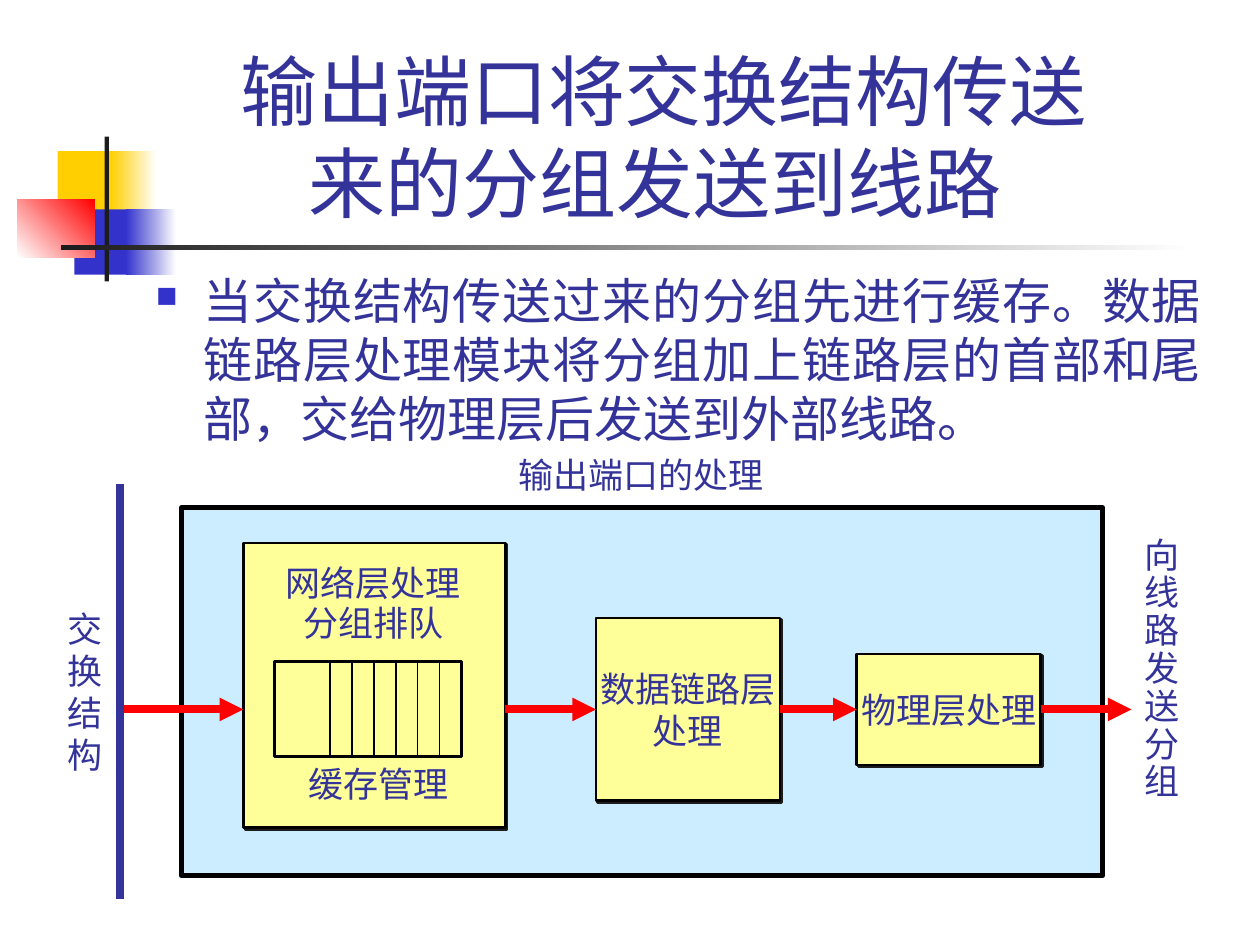
from dataclasses import dataclass
from typing import Any

from lxml import etree
from pptx import Presentation
from pptx.dml.color import RGBColor
from pptx.enum.lang import MSO_LANGUAGE_ID
from pptx.enum.shapes import MSO_CONNECTOR, MSO_SHAPE
from pptx.enum.text import MSO_ANCHOR, PP_ALIGN
from pptx.oxml import parse_xml
from pptx.oxml.ns import nsdecls, qn
from pptx.util import Pt

RECT = MSO_SHAPE.RECTANGLE
STRAIGHT = MSO_CONNECTOR.STRAIGHT
CENTER, JUSTIFY = PP_ALIGN.CENTER, PP_ALIGN.JUSTIFY
TOP, MIDDLE, BOTTOM = MSO_ANCHOR.TOP, MSO_ANCHOR.MIDDLE, MSO_ANCHOR.BOTTOM
CHINESE = MSO_LANGUAGE_ID.SIMPLIFIED_CHINESE
LEFT_SIDE, RIGHT_SIDE = 1, 3

COLORS = {
    "text": "333399", "blue": "3333CC", "yellow": "FFCF01", "red": "FF0000",
    "dark": "1C1C1C", "white": "FFFFFF", "black": "000000",
    "frame": "CCECFF", "module": "FFFF99",
}


def rgb(name):
    return RGBColor.from_string(COLORS[name])


def add_bullet(paragraph, indent):
    """Give the paragraph a small square bullet with a hanging indent."""
    props = paragraph._p.get_or_add_pPr()
    props.set("marL", str(Pt(indent)))
    props.set("indent", str(-Pt(indent)))
    for xml in (f'<a:buClr {nsdecls("a")}><a:srgbClr val="{COLORS["blue"]}"/></a:buClr>',
                f'<a:buSzPct {nsdecls("a")} val="60000"/>',
                f'<a:buChar {nsdecls("a")} char="■"/>'):
        props.append(parse_xml(xml))


def write_text(frame, text, size=20, align=CENTER, anchor=TOP, wrap=False,
               spacing=None, bullet_indent=None):
    """Fill a text frame; each line of text becomes a paragraph."""
    frame.word_wrap = wrap
    frame.vertical_anchor = anchor
    for i, line in enumerate(text.split("\n")):
        paragraph = frame.add_paragraph() if i else frame.paragraphs[0]
        if bullet_indent:
            add_bullet(paragraph, bullet_indent)
        paragraph.alignment = align
        if spacing:
            paragraph.line_spacing = spacing
        run = paragraph.add_run()
        run.text = line
        run.font.name = "Arial"
        run.font.size = Pt(size)
        run.font.language_id = CHINESE
        run.font.color.rgb = rgb("text")


@dataclass
class Painter:
    slide: Any
    line_color: str = "black"

    def box(self, left, top, width, height, fill=None, line=None, fade_to=None,
            angle=0, shadow=False):
        shape = self.slide.shapes.add_shape(
            RECT, Pt(left), Pt(top), Pt(width), Pt(height))
        shape.shadow.inherit = False
        if fade_to:
            shape.fill.gradient()
            shape.fill.gradient_angle = angle
            for stop, color in zip(shape.fill.gradient_stops, (fill, fade_to)):
                stop.color.rgb = rgb(color)
        elif fill:
            shape.fill.solid()
            shape.fill.fore_color.rgb = rgb(fill)
        else:
            shape.fill.background()
        if line:
            shape.line.color.rgb = rgb(self.line_color)
            shape.line.width = Pt(line)
        else:
            shape.line.fill.background()
        if shadow:
            shape._element.spPr.find(qn("a:effectLst")).append(parse_xml(
                f'<a:outerShdw {nsdecls("a")} dist="{Pt(1.4)}" dir="2700000">'
                f'<a:srgbClr val="{COLORS["dark"]}"/></a:outerShdw>'))
        return shape

    def module(self, left, top, width, height, text=None):
        shape = self.box(left, top, width, height, "module", 1.5, shadow=True)
        if text:
            write_text(shape.text_frame, text, anchor=MIDDLE)
        return shape

    def text(self, left, top, width, height, text, **style):
        label = self.slide.shapes.add_textbox(
            Pt(left), Pt(top), Pt(width), Pt(height))
        write_text(label.text_frame, text, **style)

    def line(self, x1, y1, x2, y2, color="black", width=0.75):
        connector = self.slide.shapes.add_connector(
            STRAIGHT, Pt(x1), Pt(y1), Pt(x2), Pt(y2))
        connector.line.color.rgb = rgb(color)
        connector.line.width = Pt(width)
        etree.SubElement(connector._element.spPr, qn("a:effectLst"))
        return connector

    def arrow(self, x1, x2, y, source=None, target=None):
        """Draw a red arrow, joined to the modules given at its ends."""
        connector = self.line(x1, y, x2, y, "red", 4.5)
        etree.SubElement(connector.line._get_or_add_ln(),
                         qn("a:tailEnd"), type="triangle")
        if source:
            connector.begin_connect(source, RIGHT_SIDE)
        if target:
            connector.end_connect(target, LEFT_SIDE)


def draw_decoration(painter):
    painter.box(33, 86.4, 34.6, 37.4, "yellow")
    painter.box(63.4, 86.4, 26, 37.4, "yellow", fade_to="white")
    painter.box(42.5, 119.6, 33, 37.4, "blue")
    painter.box(72, 119.6, 28.8, 37.4, "blue", fade_to="white")
    painter.box(10, 113.8, 44, 33.2, "white", fade_to="red", angle=45)
    painter.box(59.8, 78, 2.4, 82.8, "dark")
    painter.box(34.6, 140.2, 648, 2.4, "dark", fade_to="white")


def draw_output_port(painter):
    axis = 405.4
    bus_x = 68.4
    network_left, network_width = 139, 149.8
    module_width, link_height, physical_height = 105.1, 104.4, 63.4
    link_left, physical_left = 340.6, 489.6

    painter.box(103.7, 290.2, 526.3, 210.2, "frame", 3)
    physical = painter.module(physical_left, axis - physical_height / 2,
                              module_width, physical_height, "物理层处理")
    link = painter.module(link_left, axis - link_height / 2,
                          module_width, link_height, "数据链路层\n处理")
    painter.module(network_left, 310.3, network_width, 162.7)

    painter.arrow(physical_left + module_width, 646.6, axis, source=physical)
    painter.arrow(link_left + module_width, physical_left, axis, link, physical)
    painter.arrow(network_left + network_width, link_left, axis, target=link)
    painter.arrow(bus_x, network_left, axis)
    painter.line(bus_x, 276.5, bus_x, 514, "text", 4.5)

    queue_top, queue_height = 378, 54.4
    painter.box(157, queue_top, 106.6, queue_height, line=1.5)
    for slot in range(6):
        x = 188.6 + slot * 12.54
        painter.line(x, queue_top, x, queue_top + queue_height)

    painter.text(156, 319, 114.5, 53.3, "网络层处理\n分组排队", spacing=0.95)
    painter.text(284, 255.6, 165, 31.7, "输出端口的处理")
    painter.text(646.6, 303.8, 34.6, 158.4, "\n".join("向线路发送分组"), spacing=0.9)
    painter.text(169.2, 432, 94.3, 31.7, "缓存管理")
    painter.text(31, 343.4, 34.6, 103.7, "\n".join("交换结构"))


def main():
    deck = Presentation()
    deck.slide_width, deck.slide_height = Pt(720), Pt(540)
    painter = Painter(deck.slides.add_slide(deck.slide_layouts[6]))
    draw_decoration(painter)
    painter.text(109.4, 73.4, 540, 60.5, "输出端口将交换结构传送来的分组发送到线路 ",
                 size=44, anchor=BOTTOM, wrap=True)
    painter.text(82, 151.2, 612, 108.7,
                 "当交换结构传送过来的分组先进行缓存。数据链路层处理模块将分组加上"
                 "链路层的首部和尾部，交给物理层后发送到外部线路。",
                 size=28, align=JUSTIFY, wrap=True, bullet_indent=27)
    draw_output_port(painter)
    deck.save("out.pptx")


if __name__ == "__main__":
    main()
